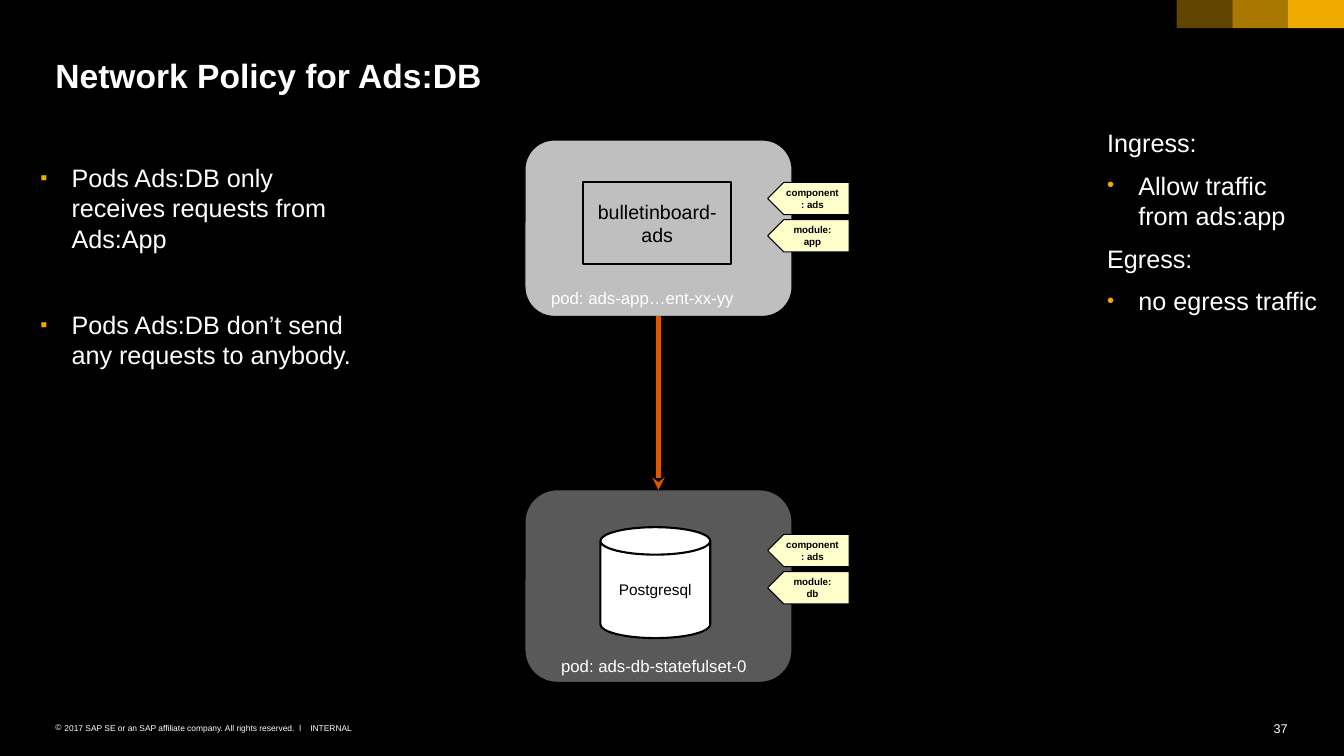
from dataclasses import dataclass

from lxml import etree
from pptx import Presentation
from pptx.dml.color import RGBColor
from pptx.enum.shapes import MSO_CONNECTOR, MSO_SHAPE
from pptx.enum.text import MSO_ANCHOR, PP_ALIGN
from pptx.oxml.ns import qn
from pptx.util import Inches, Pt

RECT, ROUNDED = MSO_SHAPE.RECTANGLE, MSO_SHAPE.ROUNDED_RECTANGLE
CAN, TAG = MSO_SHAPE.CAN, MSO_SHAPE.PENTAGON
STRAIGHT = MSO_CONNECTOR.STRAIGHT
LEFT, CENTER, RIGHT = PP_ALIGN.LEFT, PP_ALIGN.CENTER, PP_ALIGN.RIGHT
MIDDLE = MSO_ANCHOR.MIDDLE
BOTTOM_SIDE, TOP_SIDE = 2, 0


@dataclass(frozen=True)
class Theme:
    """Colours, font and type sizes of the slide."""
    font: str = "Arial"
    black: str = "000000"
    white: str = "FFFFFF"
    gold: str = "F0AB00"
    traffic: str = "E35500"
    app_pod: str = "BFBFBF"
    db_pod: str = "595959"
    label: str = "FFFFCC"
    title: int = 24
    body: int = 18
    module: int = 14
    caption: int = 12
    database: int = 11
    number: int = 9
    tag: int = 7
    footer: int = 6


class PolicySlide:
    """Draws on one slide, with places given as percentages of its size."""

    def __init__(self, deck, theme):
        self.deck, self.theme = deck, theme
        self.slide = deck.slides.add_slide(deck.slide_layouts[6])
        backdrop = self.slide.background.fill
        backdrop.solid()
        backdrop.fore_color.rgb = RGBColor.from_string(theme.black)

    def place(self, left, top, width, height):
        """Turn percentages of the slide into lengths."""
        across, down = self.deck.slide_width / 100, self.deck.slide_height / 100
        return (round(left * across), round(top * down),
                round(width * across), round(height * down))

    def style(self, paragraph, size, color, bold=False, align=LEFT):
        """Format a paragraph and its runs."""
        paragraph.alignment = align
        for run in paragraph.runs:
            run.font.name = self.theme.font
            run.font.size = Pt(size)
            run.font.bold = bold
            run.font.color.rgb = RGBColor.from_string(color)

    def bullet(self, paragraph, mark, color, indent, percent):
        """Give a paragraph a hanging bullet."""
        props = paragraph._p.get_or_add_pPr()
        props.set("marL", str(Inches(indent)))
        props.set("indent", str(-Inches(indent)))
        tint = etree.SubElement(props, qn("a:buClr"))
        etree.SubElement(tint, qn("a:srgbClr"), val=color)
        etree.SubElement(props, qn("a:buSzPct"), val=str(percent * 1000))
        etree.SubElement(props, qn("a:buFont"), typeface=self.theme.font)
        etree.SubElement(props, qn("a:buChar"), char=mark)

    def text(self, box, words, size, **look):
        """Add a text box without margins and return its paragraphs."""
        frame = self.slide.shapes.add_textbox(*self.place(*box)).text_frame
        frame.word_wrap = True
        frame.margin_left = frame.margin_right = 0
        frame.margin_top = frame.margin_bottom = 0
        frame.text = words
        for paragraph in frame.paragraphs:
            self.style(paragraph, size, self.theme.white, **look)
        return frame.paragraphs

    def points(self, box, lines, mark, gap):
        """Add body text; lines flagged True carry a bullet."""
        words = "\n".join(line for line, _ in lines)
        paragraphs = self.text(box, words, self.theme.body)
        for index, (paragraph, (_, marked)) in enumerate(zip(paragraphs, lines)):
            if index:
                paragraph.space_before = Pt(gap)
            if marked:
                self.bullet(paragraph, mark, self.theme.gold, 0.31, 80)

    def shape(self, kind, box, fill, line=None, words="", size=0, bold=False):
        """Add a filled shape with centred black text."""
        shape = self.slide.shapes.add_shape(kind, *self.place(*box))
        shape.shadow.inherit = False
        shape.fill.solid()
        shape.fill.fore_color.rgb = RGBColor.from_string(fill)
        if line is None:
            shape.line.fill.background()
        else:
            shape.line.color.rgb = RGBColor.from_string(self.theme.black)
            shape.line.width = Pt(line)
        if words:
            frame = shape.text_frame
            frame.word_wrap = True
            frame.vertical_anchor = MIDDLE
            frame.text = words
            self.style(frame.paragraphs[0], size, self.theme.black, bold, CENTER)
        return shape

    def corner_band(self, width, height, opacities):
        """Add the fading squares from the right edge inwards."""
        for step, opacity in enumerate(opacities, 1):
            square = self.shape(RECT, (100 - step * width, 0, width, height),
                                self.theme.gold)
            tint = square._element.spPr.find(".//" + qn("a:srgbClr"))
            etree.SubElement(tint, qn("a:alpha"), val=str(opacity * 1000))

    def tags(self, top, labels):
        """Stack label tags that point left into a pod."""
        for row, words in enumerate(labels):
            tag = self.shape(TAG, (57.12, top + row * 4.93, 6.07, 4.27),
                             self.theme.label, 0.75, words, self.theme.tag, True)
            tag._element.spPr.xfrm.set("flipH", "1")

    def arrow(self, source, target):
        """Join two pods with a traffic arrow."""
        arrow = self.slide.shapes.add_connector(STRAIGHT, 0, 0, 0, 0)
        arrow.begin_connect(source, BOTTOM_SIDE)
        arrow.end_connect(target, TOP_SIDE)
        arrow.line.color.rgb = RGBColor.from_string(self.theme.traffic)
        arrow.line.width = Pt(3)
        etree.SubElement(arrow.line._get_or_add_ln(), qn("a:tailEnd"),
                         type="stealth")
        etree.SubElement(arrow._element.spPr, qn("a:effectLst"))


def main():
    """Build the network policy slide."""
    deck = Presentation()
    deck.slide_width, deck.slide_height = Inches(13.34), Inches(7.5)
    theme = Theme()
    page = PolicySlide(deck, theme)

    page.corner_band(4.15, 3.73, (100, 70, 40))
    page.text((4.12, 7.33, 91.68, 5.33), "Network Policy for Ads:DB",
              theme.title, bold=True)

    db_pod = page.shape(ROUNDED, (39.06, 64.8, 19.87, 25.47), theme.db_pod, 0.79)
    page.text((41.75, 86.8, 14.47, 2.67), "pod: ads-db-statefulset-0", theme.caption)
    page.shape(CAN, (44.68, 69.73, 8.17, 14.67), theme.white, 1.5,
               "Postgresql", theme.database)
    page.tags(70.67, ("component: ads", "module:\vdb"))

    app_pod = page.shape(ROUNDED, (39.06, 18.53, 19.87, 23.33), theme.app_pod, 0.79)
    page.shape(RECT, (43.4, 24.13, 11.02, 10.8), theme.app_pod, 1.5,
               "bulletinboard-\vads", theme.module)
    page.text((41, 38, 17.02, 2.67), "pod: ads-app…ent-xx-yy", theme.caption)
    page.tags(24.13, ("component: ads", "module:\vapp"))
    page.arrow(app_pod, db_pod)

    page.points((3, 21.5, 24.36, 28.27), (
        ("Pods Ads:DB only receives requests from Ads:App", True),
        ("Pods Ads:DB don’t send any requests to anybody.", True),
    ), "▪", 40)
    page.points((82.38, 16.8, 16.04, 26.27), (
        ("Ingress:", False),
        ("Allow traffic from ads:app", True),
        ("Egress:", False),
        ("no egress traffic", True),
    ), "•", 9)

    rights = page.text(
        (4.12, 95.6, 18.59, 1.33),
        "2017 SAP SE or an SAP affiliate company. All rights reserved.  ǀ",
        theme.footer)
    page.bullet(rights[0], "©", theme.white, 0.09, 100)
    page.text((23.09, 95.6, 4, 1.33), "INTERNAL", theme.footer)
    page.text((94.3, 95.33, 1.5, 2), "37", theme.number, align=RIGHT)

    deck.save("out.pptx")


if __name__ == "__main__":
    main()
